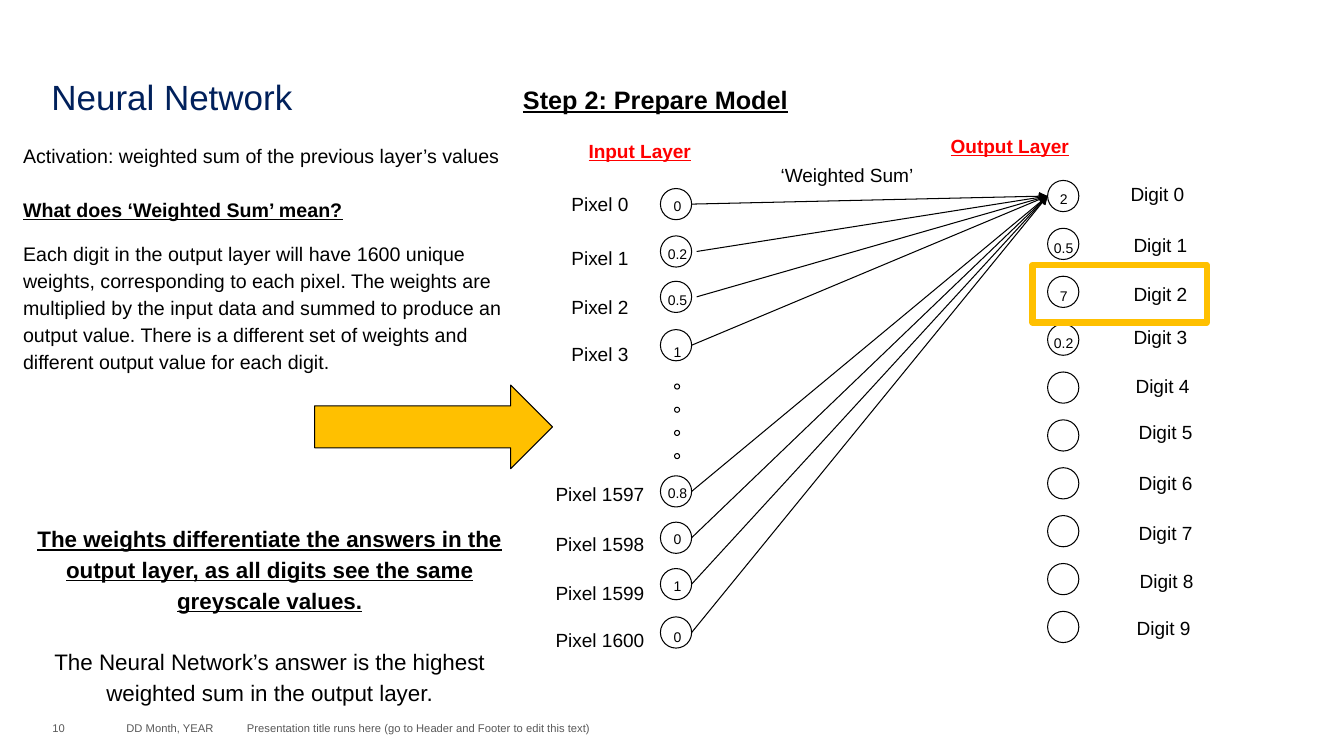
from dataclasses import dataclass

from lxml import etree
from pptx import Presentation
from pptx import util as u
from pptx.dml.color import RGBColor
from pptx.enum import shapes, text
from pptx.oxml import ns

MID, LEFT, RIGHT = text.PP_ALIGN.CENTER, text.PP_ALIGN.LEFT, text.PP_ALIGN.RIGHT


@dataclass(frozen=True)
class Theme:
    font: str = "Arial"
    ink: str = "000000"
    navy: str = "00205B"
    grey: str = "595959"
    red: str = "FF0000"
    gold: str = "FFC000"
    white: str = "FFFFFF"
    title: float = 25
    head: float = 18
    claim: float = 16
    body: float = 14
    label: float = 13.6
    value: float = 10
    foot: float = 8
    thin: float = 0.75
    thick: float = 4.5


T = Theme()
STRONG = {"bold": True, "underline": True}
NODE = 0.31  # node diameter


def write(slide, box, paras, size, color=T.ink, align=MID, lead=1.15,
          anchor=text.MSO_ANCHOR.TOP, inset=True):
    """Each paragraph is (words, space before in points, font extras)."""
    frame = slide.shapes.add_textbox(*map(u.Inches, box)).text_frame
    form = {"word_wrap": True, "vertical_anchor": anchor}
    if not inset:
        form.update({"margin_" + side: 0
                     for side in ("left", "top", "right", "bottom")})
    for key, val in form.items():
        setattr(frame, key, val)
    for i, (words, gap, extra) in enumerate(paras):
        para = frame.add_paragraph() if i else frame.paragraphs[0]
        para.alignment, para.line_spacing = align, lead
        if gap:
            para.space_before = u.Pt(gap)
        run = para.add_run()
        run.text = words
        for key, val in {"name": T.font, "size": u.Pt(size), **extra}.items():
            setattr(run.font, key, val)
        run.font.color.rgb = RGBColor.from_string(color)


def label(slide, mid, top, words, size, wide=1.2, **form):
    """One line of text centred on a vertical axis."""
    write(slide, (mid - wide / 2, top, wide, 0.36), [(words, 0, {})], size, **form)


def draw(slide, kind, box, fill=None, line=T.ink, width=T.thin):
    shape = slide.shapes.add_shape(kind, *map(u.Inches, box))
    shape.shadow.inherit = False
    if fill:
        shape.fill.solid()
        shape.fill.fore_color.rgb = RGBColor.from_string(fill)
    else:
        shape.fill.background()
    shape.line.color.rgb = RGBColor.from_string(line)
    shape.line.width = u.Pt(width)
    return shape


def ring(slide, x, y, size=NODE):
    draw(slide, shapes.MSO_SHAPE.OVAL, (x, y, size, size), T.white)


def arrow(slide, start, end):
    link = slide.shapes.add_connector(
        shapes.MSO_CONNECTOR.STRAIGHT, *map(u.Inches, start + end))
    link.line.color.rgb = RGBColor.from_string(T.ink)
    link.line.width = u.Pt(T.thin)
    etree.SubElement(link.line._get_or_add_ln(), ns.qn("a:tailEnd"), type="triangle")
    etree.SubElement(link._element.spPr, ns.qn("a:effectLst"))


# Title and step heading
def header(slide, box):
    x, y, wide, high = box
    write(slide, (x, y, 2.8, high), [("Neural Network", 0, {})], T.title,
          T.navy, LEFT, 1.1, inset=False)
    write(slide, (x + 4.1, y + 0.03, 3.78, 0.45),
          [("Step 2: Prepare Model", 0, STRONG)], T.head)


# Explanation, claim and pointer
def story(slide, box):
    x, y, wide, high = box
    write(slide, (x + 0.09, y, 5.29, 2.62), [
        ("Activation: weighted sum of the previous layer’s values", 0, {}),
        ("What does ‘Weighted Sum’ mean?", 19.3, STRONG),
        ("Each digit in the output layer will have 1600 unique weights, "
         "corresponding to each pixel. The weights are multiplied by the input "
         "data and summed to produce an output value. There is a different set "
         "of weights and different output value for each digit.", 12.1, {}),
    ], T.body, align=LEFT)
    write(slide, (x, y + 3.78, 5.27, 1.93), [
        ("The weights differentiate the answers in the output layer, as all "
         "digits see the same greyscale values.", 0, STRONG),
        ("The Neural Network’s answer is the highest weighted sum in the "
         "output layer.", 22, {}),
    ], T.claim)
    draw(slide, shapes.MSO_SHAPE.RIGHT_ARROW, (x + 3.08, y + 2.48, 2.36, 0.83), T.gold)


# Input column: returns the points where links start
def inputs(slide, box):
    x, y, wide, high = box
    write(slide, (x, y, wide, 0.36), [("Input Layer", 0, STRONG)], T.label, T.red)
    # pixel, value, tops of node, label and value, gap before link
    rows = [
        (0, "0", 0.57, 0.53, 0.59, 0), (1, "0.2", 1.04, 1.06, 1.06, 0.05),
        (2, "0.5", 1.49, 1.55, 1.52, 0.05), (3, "1", 1.97, 2.01, 2.03, 0),
        (1597, "0.8", 3.42, 3.4, 3.43, 0), (1598, "0", 3.88, 3.9, 3.89, 0),
        (1599, "1", 4.34, 4.39, 4.36, 0), (1600, "0", 4.82, 4.85, 4.86, 0),
    ]
    left, starts = x + 1.19, []
    for pixel, value, node, name, num, gap in rows:
        ring(slide, left, y + node)
        label(slide, x + 0.59, y + name, f"Pixel {pixel}", T.label)
        label(slide, left + 0.17, y + num, value, T.value, 0.5)
        starts.append((left + NODE + gap, y + node + NODE / 2))
    for i in range(4):
        ring(slide, x + 1.33, y + 2.51 + 0.23 * i, 0.05)
    return starts


# Output column: returns the point where links end
def outputs(slide, box):
    x, y, wide, high = box
    write(slide, (x, y, 1.97, 0.36), [("Output Layer", 0, STRONG)], T.label, T.red)
    # label axis and top for each digit
    names = [(2.45, 0.48), (2.48, 0.98), (2.48, 1.47), (2.48, 1.9), (2.5, 2.38),
             (2.53, 2.84), (2.53, 3.34), (2.53, 3.84), (2.54, 4.32), (2.51, 4.78)]
    left, top, pitch = x + 1.36, y + 0.54, 0.475
    for i, (mid, name) in enumerate(names):
        ring(slide, left, top + pitch * i)
        label(slide, x + mid, y + name, f"Digit {i}", T.label)
    for value, num in (("2", 0.57), ("0.5", 1.05), ("7", 1.53), ("0.2", 1.99)):
        label(slide, left + 0.16, y + num, value, T.value, 0.5)
    return left, top + NODE / 2


# Links into the first digit, and the frame around the answer
def links(slide, box, starts, end):
    x, y, wide, high = box
    for start in starts:
        arrow(slide, start, end)
    label(slide, x + 1.53, y, "‘Weighted Sum’", T.label, 1.73)
    mark = draw(slide, shapes.MSO_SHAPE.RECTANGLE, (x + 3.37, y + 1.09, 1.73, 0.57),
                line=T.gold, width=T.thick)
    etree.SubElement(mark.line._get_or_add_ln(), ns.qn("a:round"))


def footer(slide, box):
    x, y, wide, high = box
    for dx, width, align, words in (
            (0, 0.32, LEFT, "10"), (0.33, 1.27, RIGHT, "DD Month, YEAR"),
            (1.93, 9.07, LEFT, "Presentation title runs here "
             "(go to Header and Footer to edit this text)")):
        write(slide, (x + dx, y, width, high), [(words, 0, {})], T.foot, T.grey,
              align, 1.0, text.MSO_ANCHOR.BOTTOM, False)


def main():
    deck = Presentation()
    deck.slide_width, deck.slide_height = u.Inches(13.33), u.Inches(7.5)
    slide = deck.slides.add_slide(deck.slide_layouts[6])
    header(slide, (0.51, 0.71, 7.88, 0.47))
    footer(slide, (0.52, 7.05, 11, 0.24))
    starts = inputs(slide, (5.36, 1.3, 1.97, 5.21))
    end = outputs(slide, (9.03, 1.25, 2.94, 5.14))
    links(slide, (6.87, 1.54, 5.1, 4.73), starts, end)
    story(slide, (0.04, 1.34, 5.44, 5.71))
    deck.save("out.pptx")


if __name__ == "__main__":
    main()
